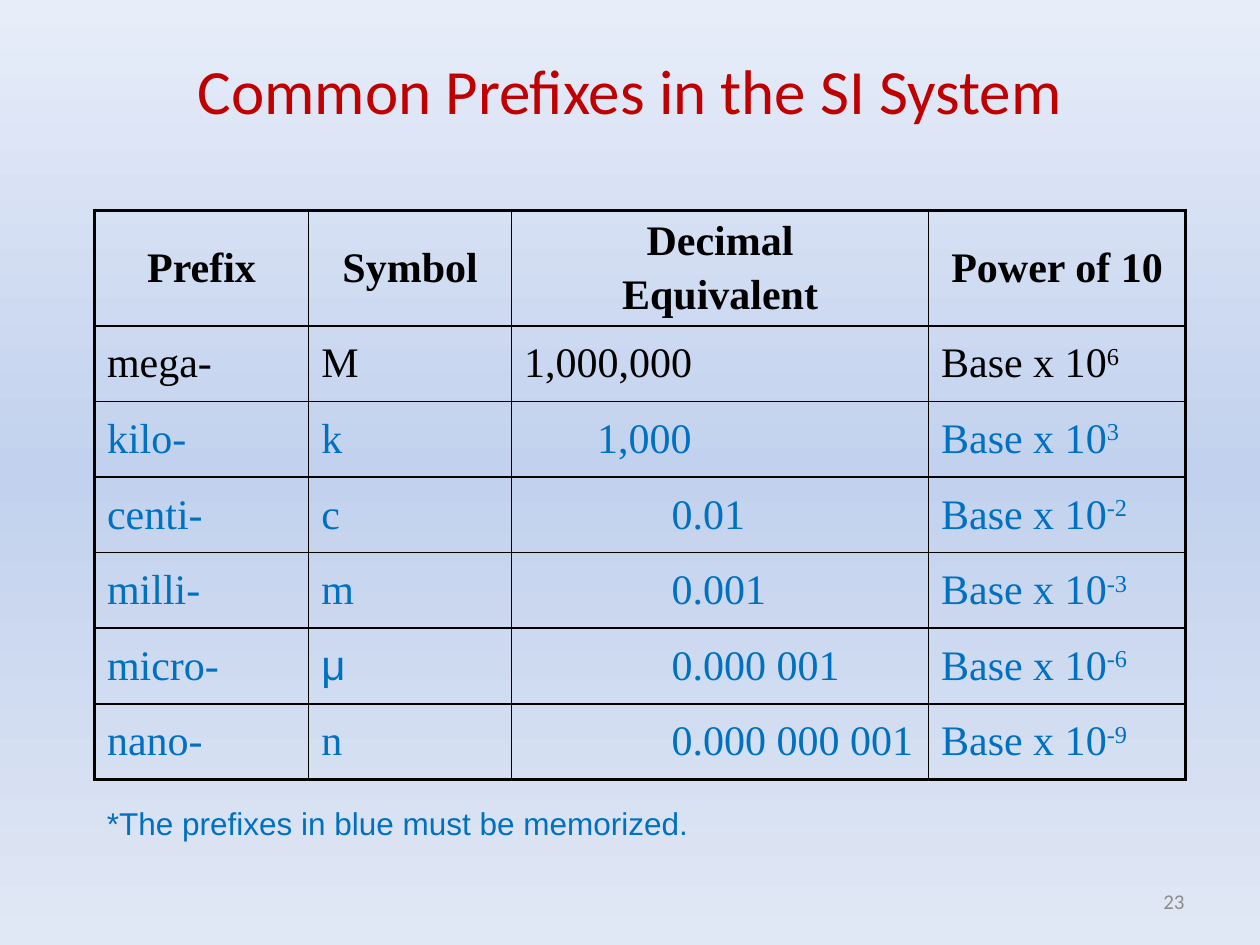
from lxml import etree
from pptx import Presentation
from pptx.dml.color import RGBColor
from pptx.enum.text import MSO_ANCHOR, PP_ALIGN
from pptx.oxml.ns import qn
from pptx.util import Inches, Pt

MID, TOP = MSO_ANCHOR.MIDDLE, MSO_ANCHOR.TOP
LEFT, CENTER, RIGHT = PP_ALIGN.LEFT, PP_ALIGN.CENTER, PP_ALIGN.RIGHT

COLORS = {"black": "000000", "blue": "0070C0", "red": "C00000", "gray": "8C8C8C"}
STOPS = [(0, "E7EDF9"), (50, "C2D1ED"), (100, "E1E8F5")]

TEXTS = [
    ("23", (7.17, 6.95, 2.33, 0.4), 12, "Calibri", "gray", RIGHT, MID, True),
    ("Common Prefixes in the SI System", (0.75, 0.33, 8.5, 0.75),
     36, "Calibri", "red", CENTER, MID, True),
    ("*The prefixes in blue must be memorized.", (0.75, 6.33, 4.86, 0.4),
     18, "Arial", "blue", LEFT, TOP, False),
]
HEAD = ["Prefix", "Symbol", "Decimal\nEquivalent", "Power of 10"]
ROWS = [
    ("mega-", "M", "1,000,000", "6", 0, "black"),
    ("kilo-", "k", "1,000", "3", 0.58, "blue"),
    ("centi-", "c", "0.01", "-2", 1.17, "blue"),
    ("milli-", "m", "0.001", "-3", 1.17, "blue"),
    ("micro-", "μ", "0.000 001", "-6", 1.17, "blue"),
    ("nano-", "n", "0.000 000 001", "-9", 1.17, "blue"),
]
WIDTHS = [1.7, 1.61, 3.31, 2.04]
HEAD_H, ROW_H = 0.9, 0.6
THIN, THICK = 1, 2.25


def style(para, size, face, color, align=LEFT, bold=False):
    para.alignment = align
    font = para.font
    font.size, font.name, font.bold = Pt(size), face, bold
    font.color.rgb = RGBColor.from_string(COLORS[color])


def paint(slide):
    fill = slide.background.fill
    fill.gradient()
    fill.gradient_angle = 270
    stops = next(slide.element.iter(qn("a:gsLst")))
    for old in list(stops):
        stops.remove(old)
    for pos, color in STOPS:
        stop = etree.SubElement(stops, qn("a:gs"), pos=str(pos * 1000))
        etree.SubElement(stop, qn("a:srgbClr"), val=color)


def add_text(slide, text, box, size, face, color, align, anchor, wrap):
    frame = slide.shapes.add_textbox(*map(Inches, box)).text_frame
    frame.word_wrap, frame.vertical_anchor = wrap, anchor
    frame.text = text
    style(frame.paragraphs[0], size, face, color, align)


def border(cell, row, col):
    edges = {"L": col == 0, "R": col == len(HEAD) - 1,
             "T": row == 0, "B": row == len(ROWS)}
    props = cell._tc.get_or_add_tcPr()
    for spot, (side, outer) in enumerate(edges.items()):
        line = etree.Element(qn("a:ln" + side), w=str(Pt(THICK if outer else THIN)))
        fill = etree.SubElement(line, qn("a:solidFill"))
        etree.SubElement(fill, qn("a:srgbClr"), val=COLORS["black"])
        props.insert(spot, line)


def add_table(slide):
    height = HEAD_H + ROW_H * len(ROWS)
    table = slide.shapes.add_table(
        len(ROWS) + 1, len(HEAD), Inches(0.75), Inches(1.67),
        Inches(sum(WIDTHS)), Inches(height)).table
    table.first_row = table.horz_banding = False
    for col, width in zip(table.columns, WIDTHS):
        col.width = Inches(width)
    for row, line in enumerate(table.rows):
        line.height = Inches(ROW_H if row else HEAD_H)
        for col, cell in enumerate(line.cells):
            cell.fill.background()
            cell.vertical_anchor = MID
            cell.margin_top = cell.margin_bottom = Inches(0.03)
            border(cell, row, col)
            if row == 0:
                cell.text = HEAD[col]
                for spot, para in enumerate(cell.text_frame.paragraphs):
                    style(para, 24, "Times New Roman", "black", CENTER, True)
                    para.space_before = Pt(4 if spot else 0)
                continue
            *words, indent, color = ROWS[row - 1]
            para = cell.text_frame.paragraphs[0]
            if col == 3:
                para.add_run().text = "Base x 10"
                power = para.add_run()
                power.text = words[col]
                power.font._element.set("baseline", "30000")
            else:
                para.add_run().text = words[col]
            if col == 2:
                cell.margin_left = Inches(0.1 + indent)
            face = "Arial" if words[col] == "μ" else "Times New Roman"
            style(para, 24, face, color)


def main():
    deck = Presentation()
    deck.slide_width, deck.slide_height = Inches(10), Inches(7.5)
    slide = deck.slides.add_slide(deck.slide_layouts[6])
    paint(slide)
    for item in TEXTS:
        add_text(slide, *item)
    add_table(slide)
    deck.save("out.pptx")


if __name__ == "__main__":
    main()
